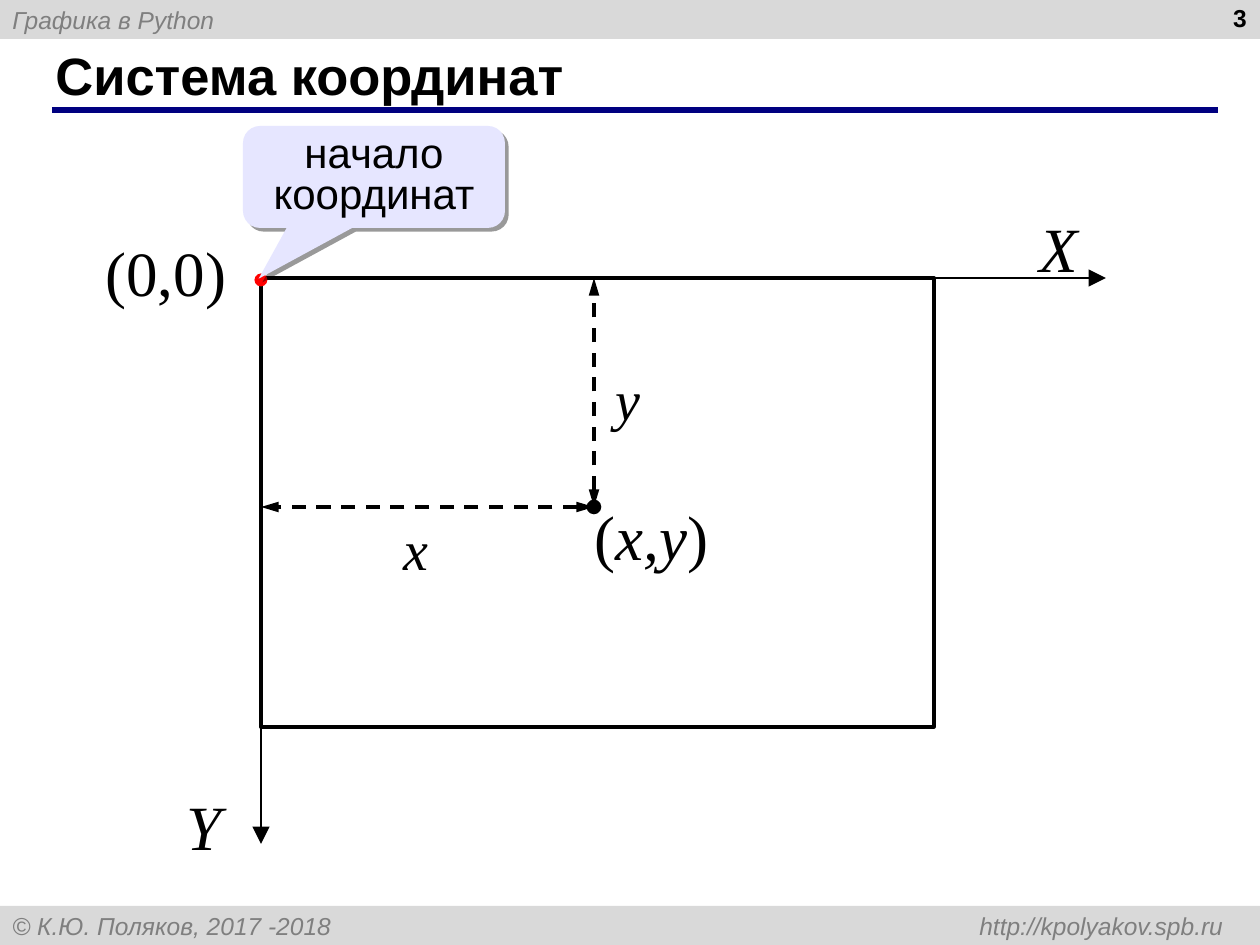
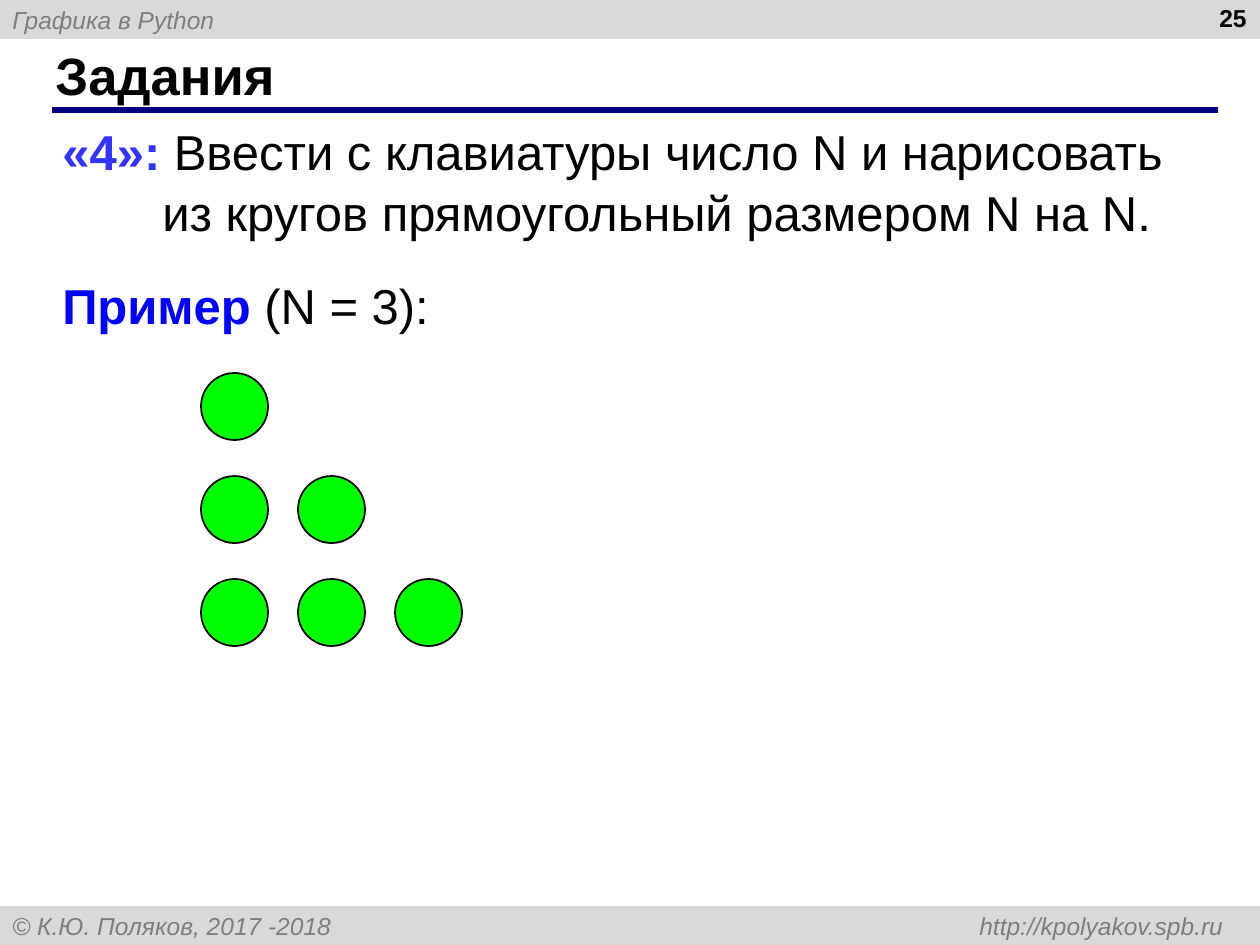
"""Build two slides on Python graphics: the coordinate system and a circle-drawing task."""
import pptx
import pptx.dml.color
import pptx.enum.dml
import pptx.enum.shapes
import pptx.enum.text
import pptx.oxml
import pptx.oxml.ns
import pptx.util
from lxml import etree

COLORS = {
    "band": "D9D9D9", "band_text": "7F7F7F", "rule": "000080", "ink": "000000",
    "origin": "FF0000", "callout": "E6E6FF", "grade": "3333FF", "example": "0000FF",
    "circle": "00FF00",
}
SANS, SERIF = "Arial", "Times New Roman"
PX = 914400 / 126
WIDTH, HEIGHT, BAND = 1260, 945, 39

HEADER = "Графика в Python"
FOOTER = "© К.Ю. Поляков, 2017 -2018\thttp://kpolyakov.spb.ru"
FOOTER_TAB = 1211

SCREEN = (261, 278, 673, 449)
AXIS_ENDS = [(1106, 278), (261, 844)]
POINT = (594, 507)
MATH_LABELS = [
    ([("(0,0)", False)], (93, 227, 170, 88), 36),
    ([("(", False), ("x,y", True), (")", False)], (582, 491, 156, 88), 36),
    ([("X", True)], (1027, 203, 68, 88), 36),
    ([("Y", True)], (174, 781, 68, 88), 36),
    ([("x", True)], (391, 508, 50, 81), 32),
    ([("y", True)], (603, 358, 50, 81), 32),
]
CALLOUT = ("начало координат", (243, 126, 262, 102), (-0.44, 0.998, 0.167))

TASK = [
    [("«4»: ", "grade"), ("Ввести с клавиатуры число N и нарисовать "
                          "из кругов прямоугольный размером N на N.", None)],
    [("Пример", "example"), (" (N = 3):", None)],
]
TASK_BOX, TASK_INDENT = (50, 112, 1161, 461), 100
TRIANGLE_SIZE, CIRCLE = 3, 67
TRIANGLE_START, TRIANGLE_STEP = (201, 373), (97, 103)

SHAPES = pptx.enum.shapes.MSO_SHAPE
ALIGN = pptx.enum.text.PP_ALIGN
MIDDLE = pptx.enum.text.MSO_ANCHOR.MIDDLE


def emu(*lengths):
    return [round(length * PX) for length in lengths]


def rgb(name):
    return pptx.dml.color.RGBColor.from_string(COLORS[name])


def add_xml(parent, tag, **attributes):
    child = etree.SubElement(parent, pptx.oxml.ns.qn(tag))
    for key, value in attributes.items():
        child.set(key, str(value))
    return child


def style(font, size, face=SANS, color="ink", bold=False, italic=False):
    font.size, font.name = pptx.util.Pt(size), face
    font.bold, font.italic = bold, italic
    font.color.rgb = rgb(color)


def add_text(slide, box, text, size, align=ALIGN.LEFT, anchor=None, **look):
    holder = slide.shapes.add_textbox(*emu(*box))
    frame = holder.text_frame
    frame.word_wrap = True
    frame.vertical_anchor = anchor
    paragraph = frame.paragraphs[0]
    paragraph.text, paragraph.alignment = text, align
    style(paragraph.font, size, **look)
    return paragraph


def add_figure(slide, preset, box, fill=None, line_width=0):
    figure = slide.shapes.add_shape(preset, *emu(*box))
    figure.shadow.inherit = False
    if fill:
        figure.fill.solid()
        figure.fill.fore_color.rgb = rgb(fill)
    else:
        figure.fill.background()
    if line_width:
        figure.line.color.rgb = rgb("ink")
        figure.line.width = pptx.util.Pt(line_width)
    else:
        figure.line.fill.background()
    return figure


def add_dot(slide, center, size, fill, line_width=0):
    x, y = center
    add_figure(slide, SHAPES.OVAL, (x - size / 2, y - size / 2, size, size), fill, line_width)


def add_line(slide, start, end, width, color="ink", arrows=(), arrow_width="lg", dashed=False):
    connector = slide.shapes.add_connector(
        pptx.enum.shapes.MSO_CONNECTOR.STRAIGHT, *emu(*start, *end))
    connector.line.color.rgb = rgb(color)
    connector.line.width = pptx.util.Pt(width)
    if dashed:
        connector.line.dash_style = pptx.enum.dml.MSO_LINE.DASH
    for arrow in arrows:
        add_xml(connector.line._get_or_add_ln(), arrow, type="triangle", w=arrow_width, len="lg")
    add_xml(connector._element.spPr, "a:effectLst")


def add_band(slide, top, text, tab=None):
    band = add_figure(slide, SHAPES.RECTANGLE, (0, top, WIDTH, BAND), "band")
    band.text_frame.vertical_anchor = MIDDLE
    paragraph = band.text_frame.paragraphs[0]
    paragraph.text, paragraph.alignment = text, ALIGN.LEFT
    if tab:
        tabs = add_xml(paragraph._p.get_or_add_pPr(), "a:tabLst")
        add_xml(tabs, "a:tab", pos=emu(tab)[0], algn="r")
    style(paragraph.font, 14, color="band_text", italic=True)


def add_slide(deck, title, number):
    slide = deck.slides.add_slide(deck.slide_layouts[6])
    add_band(slide, 0, HEADER)
    add_band(slide, HEIGHT - BAND, FOOTER, FOOTER_TAB)
    add_line(slide, (52, 110), (1218, 110), 3, "rule")
    add_text(slide, (43, 42, 1154, 66), title, 30, anchor=MIDDLE, bold=True)
    add_text(slide, (965, -3, 294, 66), str(number), 14, ALIGN.RIGHT, bold=True)
    return slide


def add_math(slide, parts, box, size):
    paragraph = add_text(slide, box, "", size, face=SERIF, italic=parts[0][1])
    for text, italic in parts:
        run = paragraph.add_run()
        run.text = text
        if italic != parts[0][1]:
            run.font.italic = italic


def add_callout(slide, text, box, adjustments):
    callout = add_figure(slide, SHAPES.ROUNDED_RECTANGULAR_CALLOUT, box, "callout")
    for index, value in enumerate(adjustments):
        callout.adjustments[index] = value
    effects = callout._element.spPr.find(pptx.oxml.ns.qn("a:effectLst"))
    shadow = add_xml(effects, "a:outerShdw", dist=pptx.util.Pt(3), dir=45 * 60000,
                     algn="tl", rotWithShape=0)
    add_xml(add_xml(shadow, "a:srgbClr", val=COLORS["ink"]), "a:alpha", val=40000)
    callout.text_frame.word_wrap = True
    callout.text_frame.vertical_anchor = MIDDLE
    paragraph = callout.text_frame.paragraphs[0]
    paragraph.text, paragraph.alignment = text, ALIGN.CENTER
    paragraph.line_spacing = 0.8
    style(paragraph.font, 24)


def build_coordinates(deck):
    slide = add_slide(deck, "Система координат", 3)
    left, top = origin = SCREEN[:2]
    x, y = POINT
    add_figure(slide, SHAPES.RECTANGLE, SCREEN, line_width=2)
    for end in AXIS_ENDS:
        add_line(slide, origin, end, 1, arrows=["a:tailEnd"])
    for label in MATH_LABELS:
        add_math(slide, *label)
    add_dot(slide, POINT, 13, "ink", 1)
    for end in [(x, top), (left, y)]:
        add_line(slide, POINT, end, 2, arrows=["a:headEnd", "a:tailEnd"],
                 arrow_width="med", dashed=True)
    add_dot(slide, (left, top + 2), 13, "origin")
    add_callout(slide, *CALLOUT)


def build_task(deck):
    slide = add_slide(deck, "Задания", 25)
    frame = slide.shapes.add_textbox(*emu(*TASK_BOX)).text_frame
    frame.word_wrap = True
    for index, parts in enumerate(TASK):
        paragraph = frame.add_paragraph() if index else frame.paragraphs[0]
        indent = emu(TASK_INDENT)[0]
        properties = paragraph._p.get_or_add_pPr()
        properties.set("marL", str(indent))
        properties.set("indent", str(-indent))
        paragraph.line_spacing = 1.05
        if index:
            paragraph.space_before = pptx.util.Pt(17.5)
        style(paragraph.font, 28)
        for text, accent in parts:
            run = paragraph.add_run()
            run.text = text
            if accent:
                run.font.bold = True
                run.font.color.rgb = rgb(accent)
    for row in range(TRIANGLE_SIZE):
        for column in range(row + 1):
            x, y = (start + step * place for start, step, place
                    in zip(TRIANGLE_START, TRIANGLE_STEP, (column, row)))
            add_figure(slide, SHAPES.OVAL, (x, y, CIRCLE, CIRCLE), "circle", 1)


def main():
    deck = pptx.Presentation()
    deck.slide_width, deck.slide_height = emu(WIDTH, HEIGHT)
    build_coordinates(deck)
    build_task(deck)
    deck.save("out.pptx")


if __name__ == "__main__":
    main()
